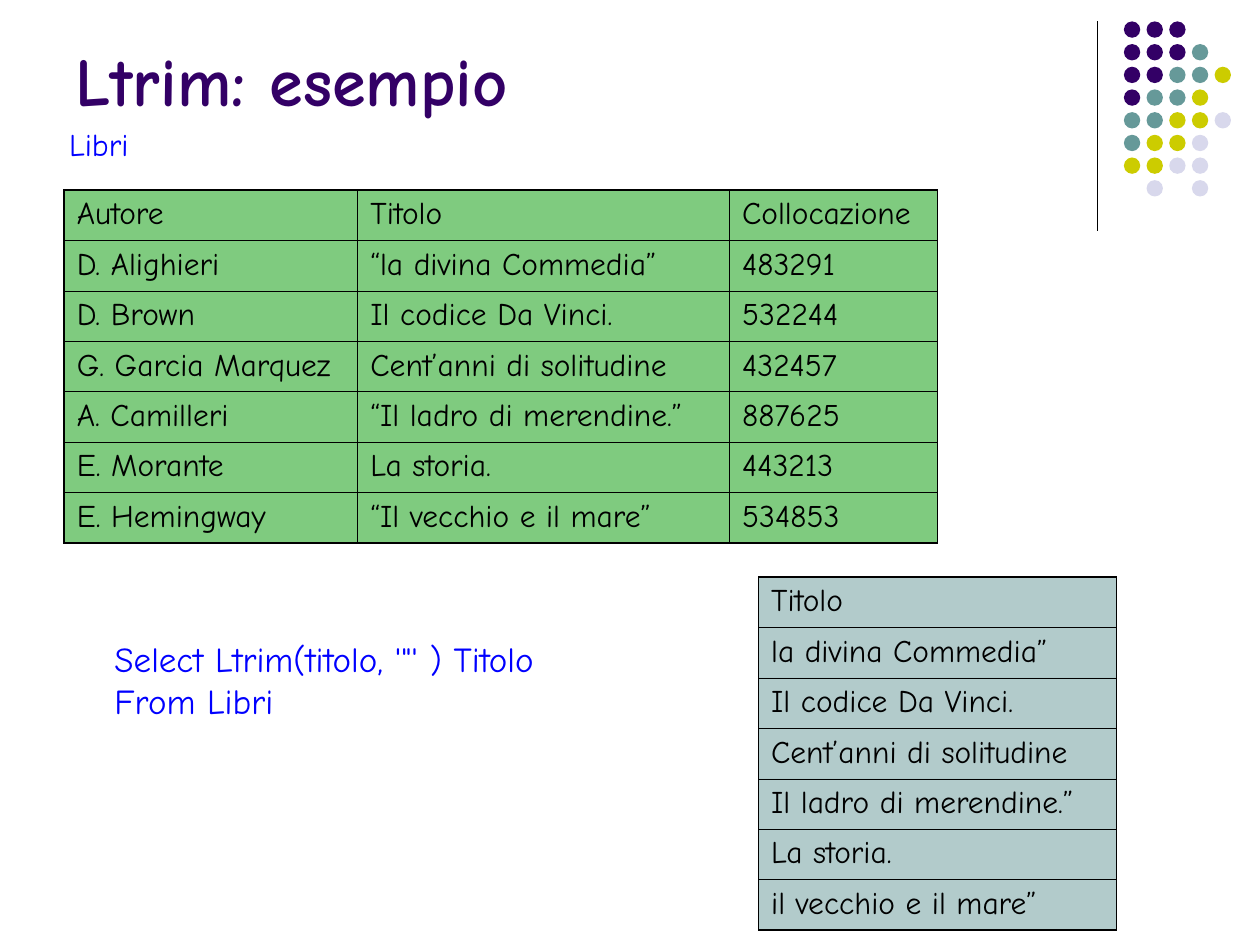
from lxml import etree
from pptx import Presentation
from pptx import util as u
from pptx.dml.color import RGBColor
from pptx.enum import shapes, text
from pptx.oxml import ns

FONT = "Comic Neue"
BLACK, PURPLE, BLUE = "000000", "330066", "0000FF"
GREEN, TEAL = "009900", "669999"
THIN, THICK = 0.45, 1.08
ROW_HEIGHT = 0.4

DOT_COLORS = {"P": PURPLE, "T": TEAL, "Y": "CCCC00", "L": "D8D8EC"}
DOT_ROWS = ["PPP", "PPPT", "PPTTY", "PTTY", "TTYYL", "TYYL", "YYLL", " L L"]

BOOKS = [
    ["Autore", "Titolo", "Collocazione"],
    ["D. Alighieri", "“la divina Commedia”", "483291"],
    ["D. Brown", "Il codice Da Vinci.", "532244"],
    ["G. Garcia Marquez", "Cent’anni di solitudine", "432457"],
    ["A. Camilleri", "“Il ladro di merendine.”", "887625"],
    ["E. Morante", "La storia.", "443213"],
    ["E. Hemingway", "“Il vecchio e il mare”", "534853"],
]
TRIMMED = [
    ["Titolo"],
    ["la divina Commedia”"],
    ["Il codice Da Vinci."],
    ["Cent’anni di solitudine"],
    ["Il ladro di merendine.”"],
    ["La storia."],
    ["il vecchio e il mare”"],
]


def rgb(color):
    return RGBColor.from_string(color)


def inches(*values):
    return [u.Inches(v) for v in values]


def sub(parent, tag, **attrs):
    return etree.SubElement(parent, ns.qn(tag), attrs)


def add_run(p, content, size, color, bold=False):
    r = p.add_run()
    r.text = content
    r.font.name = FONT
    r.font.size = u.Pt(size)
    r.font.bold = bold
    r.font.color.rgb = rgb(color)


def set_title(s, content):
    sp = s.shapes.title
    sp.left, sp.top, sp.width, sp.height = inches(0.5, -0.42, 8.25, 1.42)
    tf = sp.text_frame
    tf.vertical_anchor = text.MSO_ANCHOR.BOTTOM
    p = tf.paragraphs[0]
    p.alignment = text.PP_ALIGN.LEFT
    add_run(p, content, 39, PURPLE, bold=True)


def add_label(s, box, lines, size):
    tf = s.shapes.add_textbox(*inches(*box)).text_frame
    tf.word_wrap = False
    tf.auto_size = text.MSO_AUTO_SIZE.SHAPE_TO_FIT_TEXT
    for i, line in enumerate(lines):
        p = tf.add_paragraph() if i else tf.paragraphs[0]
        add_run(p, line, size, BLUE)


def add_rule(s, x, top, bottom):
    line = s.shapes.add_connector(
        shapes.MSO_CONNECTOR.STRAIGHT, *inches(x, top, x, bottom))
    line.line.color.rgb = rgb(BLACK)
    line.line.width = u.Pt(0.75)
    sub(line._element.spPr, "a:effectLst")


def add_dots(s, left, top, pitch, size):
    for row, codes in enumerate(DOT_ROWS):
        for col, code in enumerate(codes):
            if code == " ":
                continue
            dot = s.shapes.add_shape(
                shapes.MSO_SHAPE.OVAL,
                *inches(left + col * pitch, top + row * pitch, size, size))
            dot.shadow.inherit = False
            dot.fill.solid()
            dot.fill.fore_color.rgb = rgb(DOT_COLORS[code])
            dot.line.fill.background()


def set_borders(cell, widths):
    """Draw the borders; widths are in points: left, right, top, bottom."""
    tc_pr = cell._tc.get_or_add_tcPr()
    for side, width in zip("LRTB", widths):
        ln = sub(tc_pr, f"a:ln{side}", w=str(int(u.Pt(width))))
        sub(sub(ln, "a:solidFill"), "a:srgbClr", val=BLACK)


def fill_half_transparent(cell, color):
    cell.fill.solid()
    cell.fill.fore_color.rgb = rgb(color)
    clr = cell._tc.tcPr.find(f"{ns.qn('a:solidFill')}/{ns.qn('a:srgbClr')}")
    sub(clr, "a:alpha", val="50000")


def add_grid(s, left, top, col_widths, rows, color, side_width):
    last_row, last_col = len(rows) - 1, len(col_widths) - 1
    frame = s.shapes.add_table(
        len(rows), len(col_widths),
        *inches(left, top, sum(col_widths), ROW_HEIGHT * len(rows)))
    table = frame.table
    table.first_row = table.horz_banding = False
    for column, width in zip(table.columns, col_widths):
        column.width = u.Inches(width)
    for i, row in enumerate(rows):
        for j, content in enumerate(row):
            cell = table.cell(i, j)
            set_borders(cell, [
                side_width if j == 0 else THIN,
                side_width if j == last_col else THIN,
                THICK if i == 0 else THIN,
                THICK if i == last_row else THIN,
            ])
            fill_half_transparent(cell, color)
            add_run(cell.text_frame.paragraphs[0], content, 18, BLACK)


def main():
    prs = Presentation()
    prs.slide_width, prs.slide_height = inches(10, 7.5)
    s = prs.slides.add_slide(prs.slide_layouts[5])
    add_rule(s, 8.71, 0.17, 1.83)
    add_dots(s, 8.92, 0.17, pitch=0.18, size=0.13)
    set_title(s, "Ltrim: esempio")
    add_grid(s, 0.51, 1.51, [2.33, 2.95, 1.65], BOOKS, GREEN, THICK)
    add_label(s, (0.81, 5.01, 3.54, 0.77),
              ["Select Ltrim(titolo, '\"' ) Titolo", "From Libri"], 20)
    add_grid(s, 6.02, 4.58, [2.84], TRIMMED, TEAL, THIN)
    add_label(s, (0.45, 0.94, 0.67, 0.4), ["Libri"], 18)
    prs.save("out.pptx")


if __name__ == "__main__":
    main()
